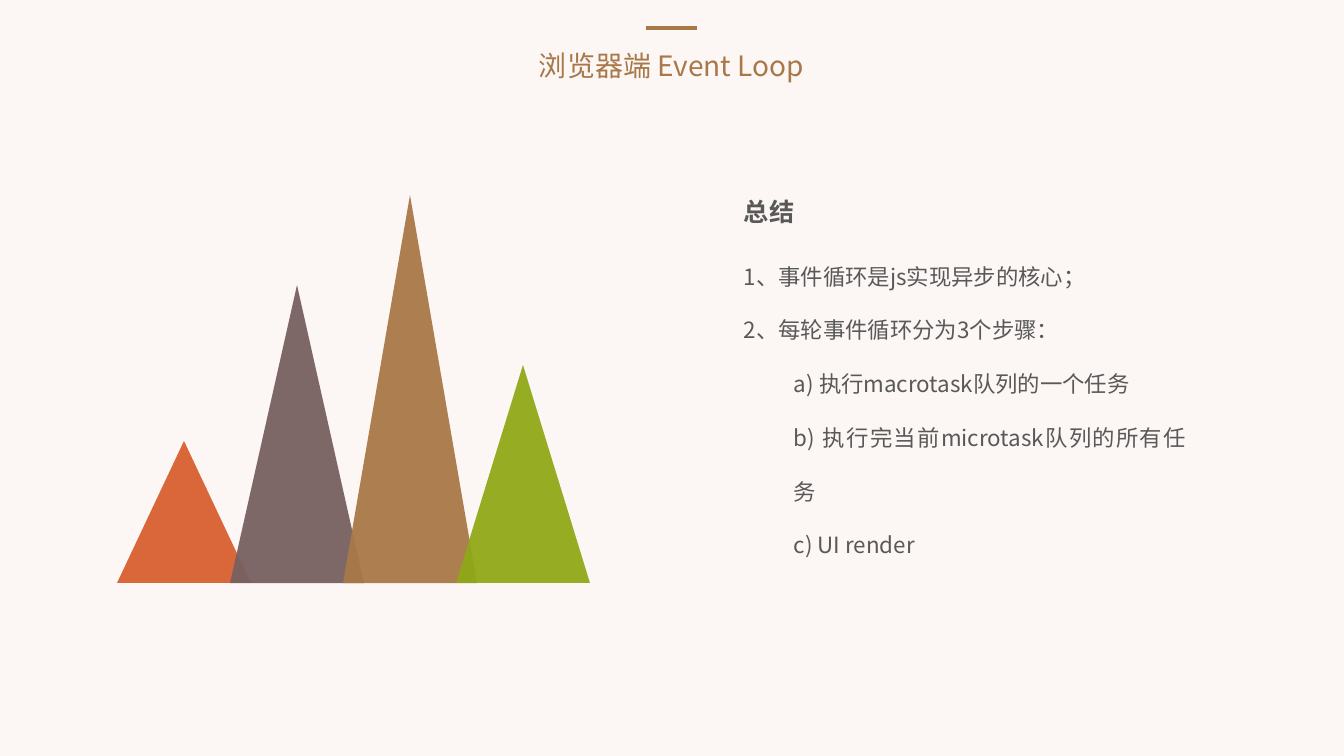
from typing import NamedTuple

from lxml.etree import SubElement
from pptx import Presentation
from pptx.dml.color import RGBColor
from pptx.enum.shapes import MSO_CONNECTOR as Conn
from pptx.enum.text import MSO_AUTO_SIZE as Fit, PP_ALIGN as Align
from pptx.oxml.ns import qn
from pptx.slide import Slide
from pptx.util import Emu, Pt

W, H = 1344, 756
SCALE = 12192000 / W
FONT = "Noto Sans CJK SC"
CREAM = RGBColor(0xFC, 0xF7, 0xF5)
GREY = RGBColor(0x59, 0x59, 0x59)
ORANGE = RGBColor(0xD8, 0x60, 0x30)
MAUVE = RGBColor(0x78, 0x60, 0x60)
BROWN = RGBColor(0xA8, 0x78, 0x48)
GREEN = RGBColor(0x90, 0xA8, 0x18)

PEAK_LEFT, PEAK_STEP, PEAK_WIDTH, PEAK_BASE = 117, 113, 134, 583
PEAK_ALPHA = 95
INDENT = 50


class Peak(NamedTuple):
    height: int
    color: RGBColor


class Line(NamedTuple):
    text: str
    level: int = 0


class TextBlock(NamedTuple):
    box: tuple[int, int, int, int]
    lines: list[Line]
    font: dict
    para: dict
    wrap: bool = True


PEAKS = [Peak(142, ORANGE), Peak(298, MAUVE), Peak(388, BROWN), Peak(218, GREEN)]

BLOCKS = [
    TextBlock(
        (734, 231, 462, 336),
        [
            Line("1、事件循环是js实现异步的核心；"),
            Line("2、每轮事件循环分为3个步骤："),
            Line("a) 执行macrotask队列的一个任务", 1),
            Line("b) 执行完当前microtask队列的所有任务", 1),
            Line("c) UI render", 1),
        ],
        {"size": Pt(16), "color": GREY},
        {"alignment": Align.JUSTIFY, "line_spacing": 2.0},
    ),
    TextBlock(
        (521, 44, 301, 44),
        [Line("浏览器端 Event Loop")],
        {"size": Pt(20), "color": BROWN},
        {"alignment": Align.CENTER},
        wrap=False,
    ),
    TextBlock(
        (734, 191, 121, 40),
        [Line("总结")],
        {"size": Pt(18), "color": GREY, "bold": True},
        {"alignment": Align.LEFT},
    ),
]


def px(n: float) -> Emu:
    """Turn pixels into EMU."""
    return Emu(round(n * SCALE))


def add_peak(s: Slide, index: int, peak: Peak) -> None:
    """Draw one translucent triangle standing on the common base."""
    left = PEAK_LEFT + index * PEAK_STEP
    fb = s.shapes.build_freeform(left + PEAK_WIDTH // 2, PEAK_BASE - peak.height, SCALE)
    fb.add_line_segments([(left + PEAK_WIDTH, PEAK_BASE), (left, PEAK_BASE)])
    sp = fb.convert_to_shape()
    sp.shadow.inherit = False
    sp.line.fill.background()
    sp.fill.solid()
    sp.fill.fore_color.rgb = peak.color
    clr = sp.fill._xPr.find(qn("a:solidFill"))[0]
    SubElement(clr, qn("a:alpha"), val=str(PEAK_ALPHA * 1000))


def add_text(s: Slide, block: TextBlock) -> None:
    """Write a block of paragraphs in one text box."""
    tf = s.shapes.add_textbox(*map(px, block.box)).text_frame
    tf.word_wrap = block.wrap
    tf.auto_size = Fit.SHAPE_TO_FIT_TEXT
    for i, line in enumerate(block.lines):
        p = tf.add_paragraph() if i else tf.paragraphs[0]
        for name, value in block.para.items():
            setattr(p, name, value)
        if line.level:
            p.level = line.level
            pPr = p._p.get_or_add_pPr()
            pPr.set("marL", str(px(INDENT * line.level)))
            pPr.set("indent", "0")
        r = p.add_run()
        r.text = line.text
        for name, value in block.font.items():
            if name == "color":
                r.font.color.rgb = value
            else:
                setattr(r.font, name, value)
        r.font.name = FONT
        SubElement(r._r.get_or_add_rPr(), qn("a:ea"), typeface=FONT)


def add_title_bar(s: Slide) -> None:
    """Draw the short rule above the title."""
    c = s.shapes.add_connector(Conn.STRAIGHT, px(646), px(28), px(697), px(28))
    c.line.color.rgb = BROWN
    c.line.width = Pt(3)
    SubElement(c._element.spPr, qn("a:effectLst"))


def main() -> None:
    """Build the slide and save it."""
    prs = Presentation()
    prs.slide_width, prs.slide_height = px(W), px(H)
    s = prs.slides.add_slide(prs.slide_layouts[6])
    s.background.fill.solid()
    s.background.fill.fore_color.rgb = CREAM
    for i, peak in enumerate(PEAKS):
        add_peak(s, i, peak)
    for block in BLOCKS:
        add_text(s, block)
    add_title_bar(s)
    prs.save("out.pptx")


if __name__ == "__main__":
    main()
